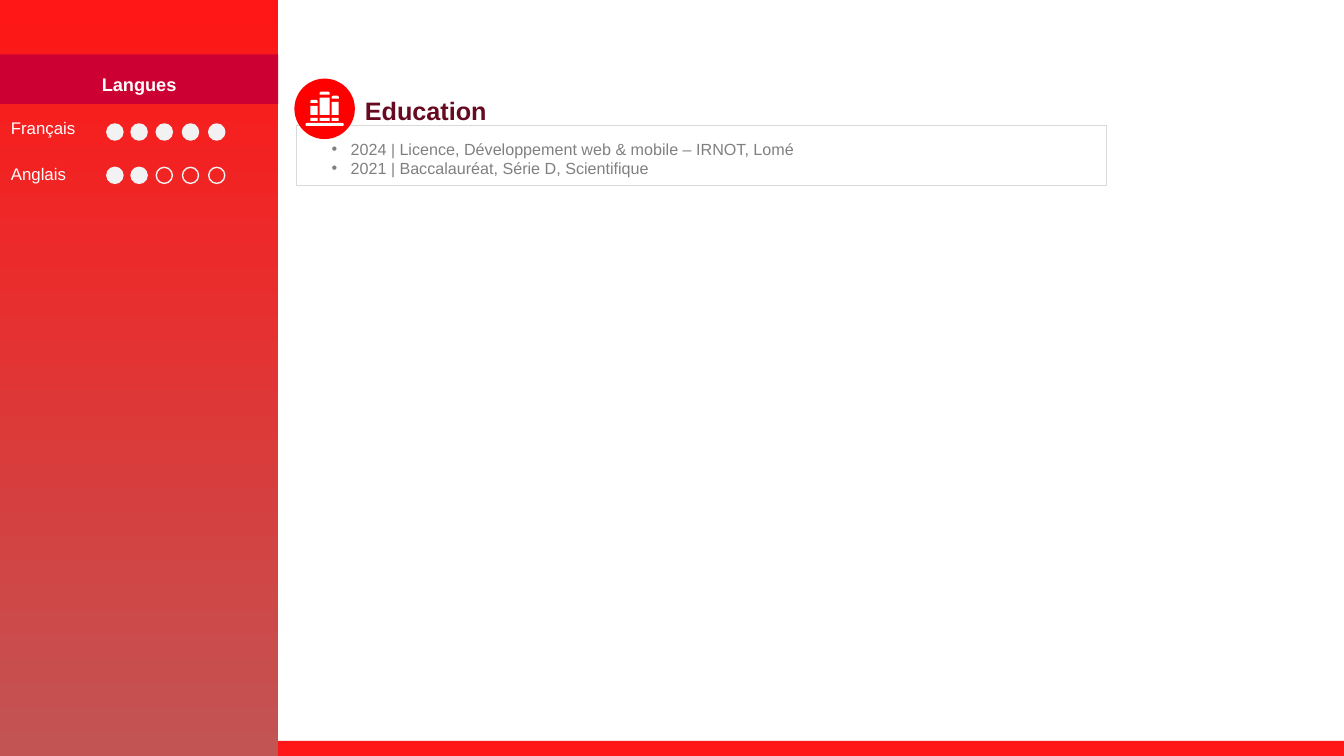
"""Build a résumé slide with a language sidebar and an education section."""
from lxml import etree
from pptx import Presentation
from pptx.dml.color import RGBColor
from pptx.enum.shapes import MSO_SHAPE
from pptx.enum.text import MSO_ANCHOR, PP_ALIGN
from pptx.oxml.ns import qn
from pptx.util import Inches, Pt

RECTANGLE = MSO_SHAPE.RECTANGLE
ROUNDED = MSO_SHAPE.ROUNDED_RECTANGLE
ROUND_TOP = MSO_SHAPE.ROUND_2_SAME_RECTANGLE
OVAL = MSO_SHAPE.OVAL
DOT = MSO_SHAPE.FLOWCHART_CONNECTOR
TOP = MSO_ANCHOR.TOP
MIDDLE = MSO_ANCHOR.MIDDLE
CENTER = PP_ALIGN.CENTER
LEFT = PP_ALIGN.LEFT

WHITE = RGBColor(0xFF, 0xFF, 0xFF)
BRIGHT_RED = RGBColor(0xFF, 0x16, 0x16)
FADED_RED = RGBColor(0xC2, 0x54, 0x54)
ICON_RED = RGBColor(0xFF, 0x00, 0x00)
CRIMSON = RGBColor(0xCC, 0x00, 0x33)
MAROON = RGBColor(0x66, 0x0A, 0x21)
GRAY = RGBColor(0x80, 0x80, 0x80)
SEPARATOR_GRAY = RGBColor(0x7F, 0x7F, 0x7F)
BORDER_GRAY = RGBColor(0xD9, 0xD9, 0xD9)
DOT_WHITE = RGBColor(0xF2, 0xF2, 0xF2)


def add_shape(parent, kind, left, top, width, height, fill=None, line=None, weight=1):
    """Add a preset shape without shadow, with optional fill and outline."""
    shape = parent.shapes.add_shape(
        kind, Inches(left), Inches(top), Inches(width), Inches(height))
    shape.shadow.inherit = False
    if fill is None:
        shape.fill.background()
    else:
        shape.fill.solid()
        shape.fill.fore_color.rgb = fill
    if line is None:
        shape.line.fill.background()
    else:
        shape.line.color.rgb = line
        shape.line.width = Pt(weight)
    return shape


def add_text(para, text, size, color, bold=False, align=LEFT):
    """Append a formatted span to a paragraph."""
    para.alignment = align
    span = para.add_run()
    span.text = text
    span.font.name = "Arial"
    span.font.size = Pt(size)
    span.font.bold = bold
    span.font.color.rgb = color


deck = Presentation()
deck.slide_width = Inches(13.33)
deck.slide_height = Inches(7.5)
page = deck.slides.add_slide(deck.slide_layouts[6])

add_shape(page, RECTANGLE, 0, 7.35, 13.33, 0.15, BRIGHT_RED)
sidebar = add_shape(page, RECTANGLE, 0, 0, 2.76, 7.5)
sidebar.fill.gradient()
sidebar.fill.gradient_angle = 270
for stop, position, color in zip(
        sidebar.fill.gradient_stops, (0, 1), (BRIGHT_RED, FADED_RED)):
    stop.position = position
    stop.color.rgb = color

education = add_shape(page, RECTANGLE, 2.94, 1.24, 8.03, 0.6, line=BORDER_GRAY, weight=0.25)
frame = education.text_frame
frame.word_wrap = True
frame.vertical_anchor = TOP
frame.margin_top = Inches(0.14)
frame.margin_bottom = 0
degrees = [
    ("2024 ", " Licence, Développement web & mobile – IRNOT, Lomé"),
    ("2021 ", " Baccalauréat, Série D, Scientifique"),
]
for index, (year, degree) in enumerate(degrees):
    para = frame.add_paragraph() if index else frame.paragraphs[0]
    add_text(para, year, 11.5, GRAY)
    add_text(para, "|", 11, SEPARATOR_GRAY)
    add_text(para, degree, 11.5, GRAY)
    properties = para._p.get_or_add_pPr()
    properties.set("marL", str(Inches(0.44)))
    properties.set("indent", str(Inches(-0.19)))
    etree.SubElement(properties, qn("a:buFont")).set("typeface", "Arial")
    etree.SubElement(properties, qn("a:buChar")).set("char", "•")

icon = page.shapes.add_group_shape()
add_shape(icon, OVAL, 2.92, 0.78, 0.6, 0.6, ICON_RED)
books = [(3.08, 0.99, 0.07), (3.17, 0.91, 0.1), (3.29, 0.95, 0.07)]
for left, top, width in books:
    cap = add_shape(icon, ROUND_TOP, left, top, width, 0.03, WHITE)
    cap.adjustments[0] = 0.5
    add_shape(icon, RECTANGLE, left, top + 0.06, width, 1.08 - top, WHITE).height = Inches(1.14 - top - 0.06)
    add_shape(icon, RECTANGLE, left, 1.17, width, 0.03, WHITE)
shelf = add_shape(icon, ROUNDED, 3.03, 1.22, 0.38, 0.03, WHITE)
shelf.adjustments[0] = 0.5

banner = add_shape(page, RECTANGLE, 0, 0.54, 2.76, 0.49, CRIMSON)
banner.text_frame.vertical_anchor = MIDDLE
heading = banner.text_frame.paragraphs[0]
heading.line_spacing = 1.5
add_text(heading, "Langues", 13, WHITE, bold=True, align=CENTER)

labels = [
    ("Education", 3.52, 0.9, 3.68, 0.4, 18, MAROON, True),
    ("Français", 0.01, 1.12, 0.85, 0.3, 12, WHITE, False),
    ("Anglais", 0.01, 1.58, 0.75, 0.3, 12, WHITE, False),
]
for text, left, top, width, height, size, color, bold in labels:
    box = page.shapes.add_textbox(Inches(left), Inches(top), Inches(width), Inches(height))
    box.text_frame.word_wrap = text == "Education"
    add_text(box.text_frame.paragraphs[0], text, size, color, bold=bold)

dot_lefts = (1.06, 1.3, 1.55, 1.81, 2.07)
for top, level in ((1.23, 5), (1.66, 2)):
    for index, left in enumerate(dot_lefts):
        fill = DOT_WHITE if index < level else None
        add_shape(page, DOT, left, top, 0.16, 0.16, fill, DOT_WHITE)

deck.save("out.pptx")
